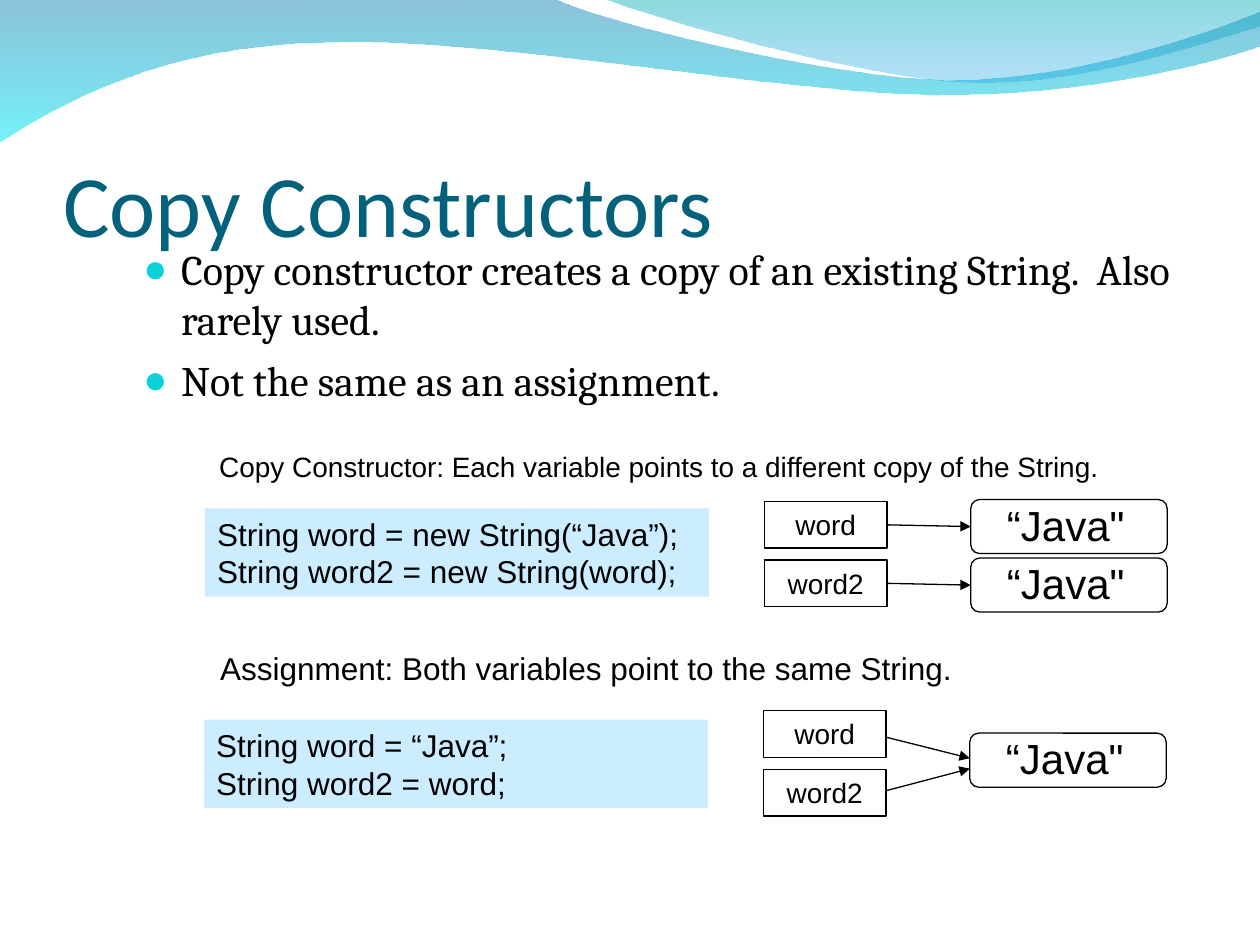
from lxml import etree
from pptx import Presentation
from pptx.dml.color import RGBColor
from pptx.enum.shapes import MSO_CONNECTOR, MSO_SHAPE
from pptx.enum.text import MSO_ANCHOR, MSO_AUTO_SIZE, PP_ALIGN
from pptx.oxml.ns import qn
from pptx.util import Cm, Pt

LEFT, MID = PP_ALIGN.LEFT, PP_ALIGN.CENTER
TOP, BOTTOM = MSO_ANCHOR.TOP, MSO_ANCHOR.BOTTOM
RECT, ROUND = MSO_SHAPE.RECTANGLE, MSO_SHAPE.ROUNDED_RECTANGLE
LINE = MSO_CONNECTOR.STRAIGHT
FIXED = MSO_AUTO_SIZE.NONE

HUES = {
    "ink": "000000", "title": "04617B", "dot": "0BD0D9", "code": "CCECFF",
    "blue": "0079AF", "cyan": "00EBF8", "teal": "00ADB6", "sky": "009BE5",
}
WAVES = [
    ((0, -0.03),
     [(11.18, -0.03),
      (12.09, 0.43, 16.87, 1.6, 19.25, 1.6),
      (21.67, 1.6, 24.33, 0.66, 25.4, 0.23),
      (25.43, 0.91),
      (24.97, 1.12, 22.1, 1.93, 18.95, 1.91),
      (15.8, 1.91, 9.7, 0.71, 6.53, 0.86),
      (3.28, 0.89, 1.17, 2.11, -0.03, 2.87),
      (0, -0.03)],
     [("blue", 45), ("cyan", 55)]),
    ((12.17, -0.03),
     [(12.93, 0.28, 17.32, 1.57, 19.53, 1.65),
      (21.74, 1.75, 24.41, 0.81, 25.4, 0.53),
      (25.4, 0),
      (12.17, -0.03)],
     [("teal", 45), ("sky", 30)]),
]


def hue(name):
    return RGBColor.from_string(HUES[name])


def cms(*box):
    return [Cm(n) for n in box]


def add_run(para, text, size, font="Arial", tint="ink"):
    run = para.add_run()
    run.text = text
    run.font.size = Pt(size)
    run.font.name = font
    run.font.color.rgb = hue(tint)


def write(shape, lines, size, align=LEFT):
    frame = shape.text_frame
    frame.word_wrap = True
    frame.vertical_anchor = TOP
    para = frame.paragraphs[0]
    para.alignment = align
    for i, line in enumerate(lines):
        if i:
            para.add_line_break()
        add_run(para, line, size)


def add_text(shapes, box, text, size, align=LEFT):
    write(shapes.add_textbox(*cms(*box)), [text], size, align)


def add_box(shapes, kind, box, fill=None):
    shape = shapes.add_shape(kind, *cms(*box))
    shape.shadow.inherit = False
    if fill:
        shape.fill.solid()
        shape.fill.fore_color.rgb = hue(fill)
        shape.line.fill.background()
    else:
        shape.fill.background()
        shape.line.color.rgb = hue("ink")
        shape.line.width = Pt(0.75)
    return shape


def bend(wave, path):
    legs = iter(list(wave.element.iter(qn("a:lnTo"))))
    for nodes in path:
        first = next(legs)
        if len(nodes) == 6:
            first.tag = qn("a:cubicBezTo")
            for leg in (next(legs), next(legs)):
                first.append(leg[0])
                leg.getparent().remove(leg)


def add_wave(slide, box, start, path, stops):
    left, top = box
    dots = [start]
    for nodes in path:
        dots += zip(nodes[::2], nodes[1::2])
    spots = [((left + x) * 100, (top + y) * 100) for x, y in dots]
    pen = slide.shapes.build_freeform(*spots[0], scale=Cm(1) / 100)
    pen.add_line_segments(spots[1:], close=True)
    wave = pen.convert_to_shape()
    bend(wave, path)
    wave.shadow.inherit = False
    wave.line.fill.background()
    wave.fill.gradient()
    wave.fill.gradient_angle = 270
    for stop, (tint, alpha) in zip(wave.fill.gradient_stops, stops):
        stop.color.rgb = hue(tint)
    for node, (tint, alpha) in zip(wave.element.iter(qn("a:srgbClr")), stops):
        etree.SubElement(node, qn("a:alpha"), val=str(alpha * 1000))


def add_title(slide, box, text):
    title = slide.shapes.title
    title.left, title.top, title.width, title.height = cms(*box)
    frame = title.text_frame
    frame.auto_size = FIXED
    frame.vertical_anchor = BOTTOM
    frame.margin_left = frame.margin_right = frame.margin_bottom = 0
    frame.margin_top = Cm(0.13)
    para = frame.paragraphs[0]
    para.alignment = LEFT
    add_run(para, text, 50, "Calibri", "title")


def add_list(slide, box, items):
    frame = slide.shapes.add_textbox(*cms(*box)).text_frame
    frame.word_wrap = True
    for i, item in enumerate(items):
        para = frame.add_paragraph() if i else frame.paragraphs[0]
        para.space_before = Pt(6)
        add_run(para, item, 24, "Cambria")
        props = para._p.get_or_add_pPr()
        props.set("marL", str(Cm(0.76)))
        props.set("indent", str(-Cm(0.76)))
        tint = etree.SubElement(props, qn("a:buClr"))
        etree.SubElement(tint, qn("a:srgbClr"), val=HUES["dot"])
        etree.SubElement(props, qn("a:buSzPct"), val="95000")
        etree.SubElement(props, qn("a:buFont"), typeface="Arial")
        etree.SubElement(props, qn("a:buChar"), char="●")


def add_value(slide, left, top):
    group = slide.shapes.add_group_shape().shapes
    add_text(group, (left - 0.41, top - 0.13, 4.65, 1.27), "“Java\"", 24, MID)
    return add_box(group, ROUND, (left, top, 3.96, 1.09))


def add_arrow(slide, start, goal, shift):
    tail, head = cms(*shift)
    arrow = slide.shapes.add_connector(
        LINE, start.left + start.width, start.top + start.height // 2 + tail,
        goal.left, goal.top + goal.height // 2 + head)
    if not tail:
        arrow.begin_connect(start, 3)
    if not head:
        arrow.end_connect(goal, 1)
    arrow.line.color.rgb = hue("ink")
    arrow.line.width = Pt(0.75)
    etree.SubElement(arrow.line._get_or_add_ln(), qn("a:tailEnd"), type="triangle")
    etree.SubElement(arrow._element.spPr, qn("a:effectLst"))


def add_panel(slide, box, code, lead, drops, shifts):
    left, top = box
    block = add_box(slide.shapes, RECT, (left, top + lead, 10.16, 1.78), "code")
    write(block, code, 18)
    goals = [add_value(slide, left + 15.44, top + drop) for drop in drops]
    for i, name in enumerate(("word", "word2")):
        cell = add_box(slide.shapes, RECT, (left + 11.28, top + i * 1.18, 2.47, 0.94))
        write(cell, [name], 16, MID)
        add_arrow(slide, cell, goals[min(i, len(goals) - 1)], shifts[i])


def main():
    deck = Presentation()
    deck.slide_width, deck.slide_height = cms(25.4, 19.05)
    slide = deck.slides.add_slide(deck.slide_layouts[5])
    for wave in WAVES:
        add_wave(slide, (0, 0), *wave)
    add_title(slide, (1.27, 1.96, 22.86, 3.18), "Copy Constructors")
    add_list(slide, (2.64, 4.78, 21.29, 12.14), [
        "Copy constructor creates a copy of an existing String.  Also rarely used.",
        "Not the same as an assignment.",
    ])
    add_text(slide.shapes, (4.17, 8.93, 19.33, 0.94),
             "Copy Constructor: Each variable points to a different copy of the String.", 16)
    add_panel(slide, (4.13, 10.11),
              ["String word = new String(“Java”);", "String word2 = new String(word);"],
              0.14, (-0.04, 1.14), ((0, 0), (0, 0)))
    add_text(slide.shapes, (4.19, 12.95, 15.39, 1.02),
             "Assignment: Both variables point to the same String.", 18)
    add_panel(slide, (4.11, 14.33),
              ["String word = “Java”;", "String word2 = word;"],
              0.18, (0.45,), ((0.06, -0.04), (-0.04, 0.17)))
    deck.save("out.pptx")


if __name__ == "__main__":
    main()
